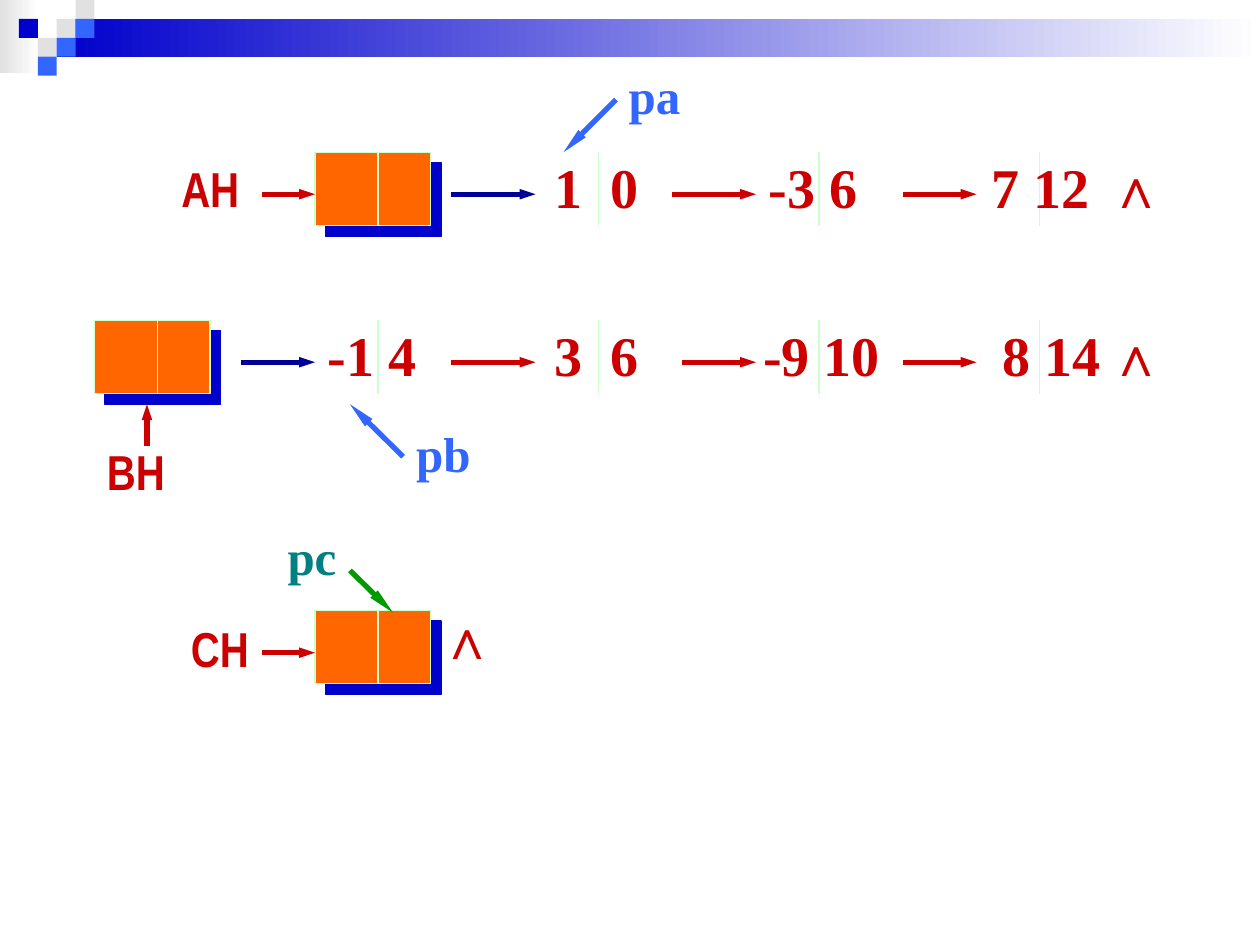
from lxml import etree
from pptx import Presentation
from pptx.dml.color import RGBColor
from pptx.enum import shapes, text
from pptx.oxml import ns
from pptx.util import Pt

WHITE = RGBColor(0xFF, 0xFF, 0xFF)
GRAY = RGBColor(0xE1, 0xE1, 0xE1)
BLUE = RGBColor(0x00, 0x00, 0xCC)
SKY = RGBColor(0x33, 0x66, 0xFF)
NAVY = RGBColor(0x00, 0x00, 0x99)
RED = RGBColor(0xCC, 0x00, 0x00)
ORANGE = RGBColor(0xFF, 0x66, 0x00)
MINT = RGBColor(0xCC, 0xFF, 0xCC)
GREEN = RGBColor(0x00, 0x99, 0x00)
TEAL = RGBColor(0x00, 0x80, 0x80)
SERIF = "Times New Roman"
NARROW = "Arial Narrow"

deck = Presentation()
deck.slide_width, deck.slide_height = Pt(720), Pt(540)
page = deck.slides.add_slide(deck.slide_layouts[6])


def add_line(start, end, color, width=3, head=None):
    """Draw a line; head is the arrowhead length, med or lg, or None for a plain line."""
    line = page.shapes.add_connector(
        shapes.MSO_CONNECTOR.STRAIGHT, *[Pt(value) for value in (*start, *end)])
    line.line.color.rgb = color
    line.line.width = Pt(width)
    if head:
        etree.SubElement(line.line._get_or_add_ln(), ns.qn("a:tailEnd"),
                         type="triangle", w="sm", len=head)
    etree.SubElement(line._element.spPr, ns.qn("a:effectLst"))


def add_label(words, left, top, width, height, color, size, font=SERIF, centered=False):
    box = page.shapes.add_textbox(Pt(left), Pt(top), Pt(width), Pt(height))
    frame = box.text_frame
    frame.word_wrap = False
    frame.auto_size = text.MSO_AUTO_SIZE.SHAPE_TO_FIT_TEXT
    para = frame.paragraphs[0]
    para.text = words
    if "\t" in words:
        tabs = etree.SubElement(para._p.get_or_add_pPr(), ns.qn("a:tabLst"))
        etree.SubElement(tabs, ns.qn("a:tab"), pos=str(Pt(32)), algn="l")
    if centered:
        frame.vertical_anchor = text.MSO_ANCHOR.MIDDLE
        para.alignment = text.PP_ALIGN.CENTER
    para.font.name = font
    para.font.size = Pt(size)
    para.font.bold = True
    para.font.color.rgb = color
    return box


# Header: two gradient bands and a checker of small squares
for left, top, width, height, color in [(0, 0, 22.3, 41.8, GRAY), (32.4, 10.8, 687.6, 21.6, BLUE)]:
    band = page.shapes.add_shape(
        shapes.MSO_SHAPE.RECTANGLE, Pt(left), Pt(top), Pt(width), Pt(height))
    band.shadow.inherit = False
    band.line.fill.background()
    band.fill.gradient()
    band.fill.gradient_angle = 0
    for stop, stop_color, position in zip(band.fill.gradient_stops, (color, WHITE), (0, 1)):
        stop.color.rgb = stop_color
        stop.position = position

SQUARE = 10.8
for column, row, color in [(3, 1, GRAY), (4, 0, GRAY), (4, 1, SKY), (2, 2, GRAY),
                           (1, 1, BLUE), (3, 2, SKY), (2, 3, SKY)]:
    square = page.shapes.add_shape(
        shapes.MSO_SHAPE.RECTANGLE, Pt(column * SQUARE), Pt(row * SQUARE), Pt(SQUARE), Pt(SQUARE))
    square.shadow.inherit = False
    square.line.fill.background()
    square.fill.solid()
    square.fill.fore_color.rgb = color

# Head nodes of the three lists, each split by a divider
NODE_HEIGHT = 42
ROW_A, ROW_B, ROW_C = 87, 183, 348.8
for left, top in [(180, ROW_A), (54, ROW_B), (180, ROW_C)]:
    node = page.shapes.add_shape(
        shapes.MSO_SHAPE.RECTANGLE, Pt(left), Pt(top), Pt(66), Pt(NODE_HEIGHT))
    node.fill.solid()
    node.fill.fore_color.rgb = ORANGE
    node.line.color.rgb = MINT
    node.line.width = Pt(0.75)
    node.shadow.inherit = False
    effects = node._element.spPr.find(ns.qn("a:effectLst"))
    shadow = etree.SubElement(effects, ns.qn("a:outerShdw"), dist=str(Pt(8.5)),
                              dir="2700000", algn="ctr", rotWithShape="0")
    etree.SubElement(shadow, ns.qn("a:srgbClr"), val=str(BLUE))
    add_line((left + 36, top), (left + 36, top + NODE_HEIGHT), MINT, 0.75)

# Dividers of the data nodes
for top, first in [(ROW_A, 1), (ROW_B, 0)]:
    for column in range(first, 4):
        x = 216 + 126 * column
        add_line((x, top), (x, top + NODE_HEIGHT), MINT, 0.75)

# Links along each list
MIDDLE_A, MIDDLE_B, MIDDLE_C = 111, 207, 373
for y, start, end, color in [
        (MIDDLE_A, 150, 180, RED), (MIDDLE_A, 258, 306, NAVY),
        (MIDDLE_A, 384, 432, RED), (MIDDLE_A, 516, 558, RED),
        (MIDDLE_B, 138, 180, NAVY), (MIDDLE_B, 258, 306, RED),
        (MIDDLE_B, 390, 432, RED), (MIDDLE_B, 516, 558, RED),
        (MIDDLE_C, 150, 180, RED)]:
    add_line((start, y), (end, y), color, head="med")
add_line((84, 255), (84, 231), RED, head="med")

# List names
for name, left, top in [("AH", 96.5, 87), ("BH", 54, 249), ("CH", 102, 350)]:
    add_label(name, left, top, 48, 41, RED, 28, NARROW)

# Coefficients and exponents, with end marks
TEXT_A, TEXT_B, TEXT_C = 83.5, 179.5, 341.5
for words, left, top, width in [
        ("1\t0", 309.6, TEXT_A, 62.6), ("-3 6", 432, TEXT_A, 65),
        ("7 12", 559.5, TEXT_A, 70.6), ("∧", 626.4, TEXT_A, 34),
        ("-1 4", 180, TEXT_B, 65), ("3\t6", 309.6, TEXT_B, 62.6),
        ("-9 10", 429, TEXT_B, 81.4), ("8 14", 565.5, TEXT_B, 70.6),
        ("∧", 626.4, TEXT_B, 34), ("∧", 244, TEXT_C, 34)]:
    add_label(words, left, top, width, 45.4, RED, 32)

# Working pointers
for name, left, top, width, color, start, end, arrow_color in [
        ("pa", 352, 34, 44, SKY, (352, 57), (322, 87), SKY),
        ("pb", 230.4, 238.3, 46, SKY, (230.4, 261), (200, 231), SKY),
        ("pc", 157, 297.4, 42.5, TEAL, (200, 326), (224.5, 350), GREEN)]:
    add_line(start, end, arrow_color, head="lg")
    add_label(name, left, top, width, 41, color, 28, centered=True)

deck.save("out.pptx")
